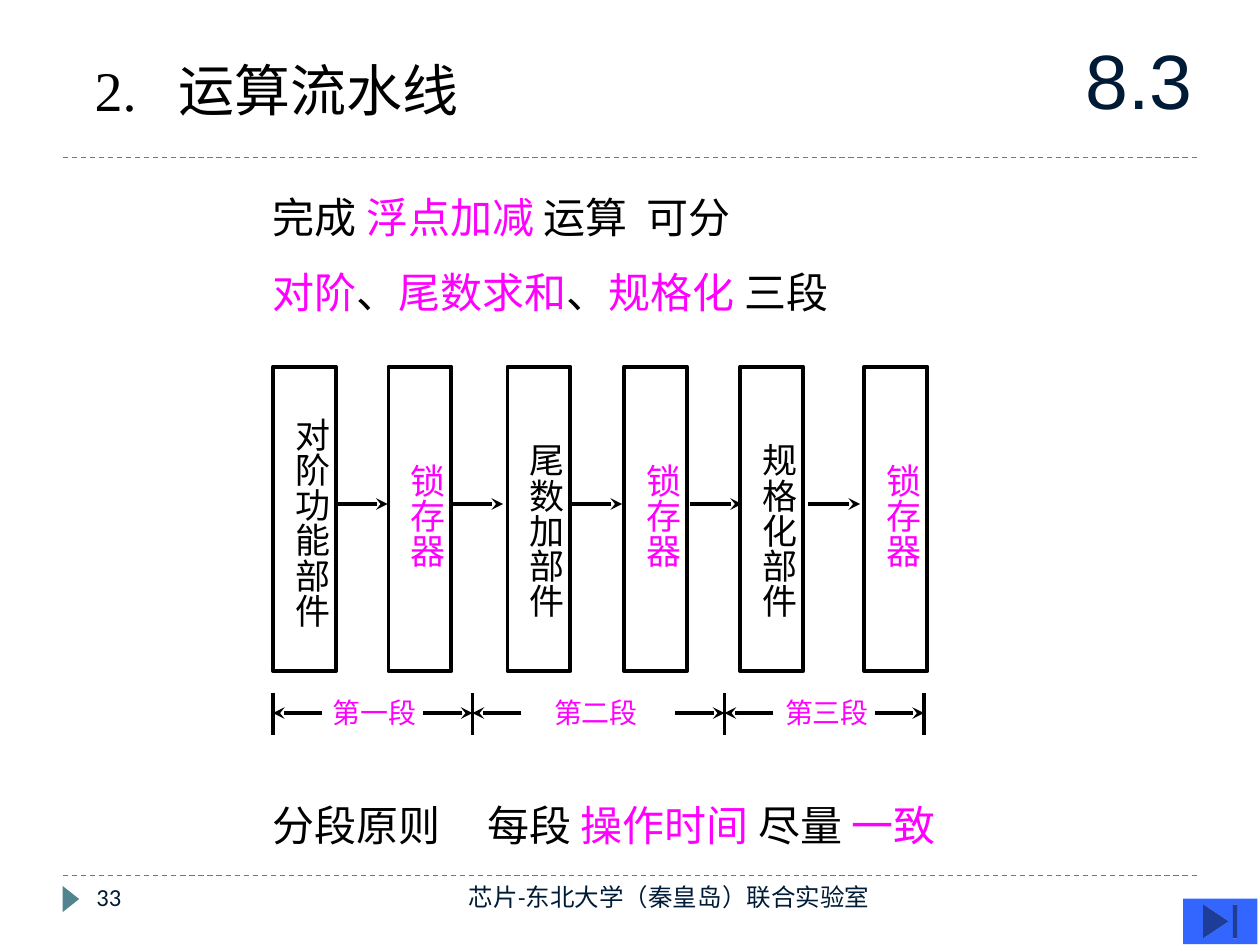
"""Build the slide about a three-stage floating-point arithmetic pipeline."""
from dataclasses import dataclass
from typing import Any

from lxml import etree
from pptx import Presentation
from pptx import util as u
from pptx.dml.color import RGBColor
from pptx.enum import dml, shapes, text
from pptx.oxml.ns import qn


@dataclass(frozen=True)
class Theme:
    black: str = "000000"
    accent: str = "FF00FF"
    navy: str = "001B36"
    teal: str = "51848E"
    button: str = "3366FF"
    serif: str = "Times New Roman"
    sans: str = "Arial"
    footer_font: str = "Calibri"
    title: float = 32
    body: float = 24
    block: float = 20
    label: float = 16
    section: float = 44
    footer: float = 14
    thin: float = 0.75
    thick: float = 2.25


@dataclass(frozen=True)
class Block:
    name: str
    left: float
    text_top: float
    color: str


@dataclass(frozen=True)
class Stage:
    label: str
    label_left: float
    start: float
    end: float
    unit: Block
    latch: Block
    arrow_left: float


THEME = Theme()
BLOCK_TOP, BLOCK_WIDTH, BLOCK_HEIGHT = 209.5, 36, 174
FLOW_Y, FLOW_LENGTH = 288, 29.5
TICK_TOP, TICK_BOTTOM, SPAN_Y, SPAN_LENGTH = 396, 420, 407.5, 28
LATCH_TOP = 257.8


def latch(left: float) -> Block:
    """Return a latch block at the given left edge."""
    return Block("锁存器", left, LATCH_TOP, THEME.accent)


STAGES = (
    Stage("第一段", 183, 156, 270, Block("对阶功能部件", 156, 231.8, THEME.black), latch(222), 192),
    Stage("第二段", 309.5, 270, 414, Block("尾数加部件", 290, 246.2, THEME.black), latch(356.5), 326),
    Stage("第三段", 441.5, 414, 528, Block("规格化部件", 423, 246.2, THEME.black), latch(494), 462),
)
BETWEEN_STAGES = (258, 394.5)

Run = tuple[str, str]


def add_text(container: Any, paragraphs: list[list[Run]], left: float, top: float,
             width: float, height: float, *, size: float, font: str = THEME.serif,
             side: float = 0, middle: bool = True, wrap: bool = True,
             vertical: bool = False, spacing: float | None = None,
             tab: float | None = None, align: Any = text.PP_ALIGN.LEFT) -> None:
    """Add a text box made of paragraphs of coloured runs."""
    box = container.add_textbox(u.Pt(left), u.Pt(top), u.Pt(width), u.Pt(height))
    frame = box.text_frame
    frame.word_wrap = wrap
    frame.margin_left = frame.margin_right = u.Pt(side)
    frame.margin_top = frame.margin_bottom = u.Pt(3.6)
    frame.vertical_anchor = text.MSO_ANCHOR.MIDDLE if middle else text.MSO_ANCHOR.TOP
    if not wrap:
        frame.auto_size = text.MSO_AUTO_SIZE.SHAPE_TO_FIT_TEXT
    if vertical:
        box.element.txBody.bodyPr.set("vert", "eaVert")
    for index, runs in enumerate(paragraphs):
        paragraph = frame.add_paragraph() if index else frame.paragraphs[0]
        paragraph.alignment = align
        if spacing:
            paragraph.line_spacing = spacing
        if tab:
            stops = etree.SubElement(paragraph._p.get_or_add_pPr(), qn("a:tabLst"))
            etree.SubElement(stops, qn("a:tab"), pos=str(u.Pt(tab)), algn="l")
        for words, color in runs:
            run = paragraph.add_run()
            run.text = words
            run.font.name = font
            run.font.size = u.Pt(size)
            run.font.color.rgb = RGBColor.from_string(color)


def add_line(container: Any, start: tuple[float, float], end: tuple[float, float], *,
             color: str = THEME.black, weight: float = THEME.thick,
             dashed: bool = False, arrow: bool = False) -> None:
    """Add a straight line, optionally dashed or with a stealth arrowhead."""
    line = container.add_connector(shapes.MSO_CONNECTOR.STRAIGHT,
                                   *(u.Pt(value) for value in start + end))
    line.line.color.rgb = RGBColor.from_string(color)
    line.line.width = u.Pt(weight)
    if dashed:
        line.line.dash_style = dml.MSO_LINE.DASH
    if arrow:
        etree.SubElement(line.line._get_or_add_ln(), qn("a:tailEnd"), type="stealth")
    etree.SubElement(line.element.spPr, qn("a:effectLst"))


def add_preset(container: Any, kind: Any, left: float, top: float, width: float,
               height: float, *, fill: str | None = None, rotation: float = 0) -> None:
    """Add a filled preset shape, or an outlined one when no fill is given."""
    shape = container.add_shape(kind, u.Pt(left), u.Pt(top), u.Pt(width), u.Pt(height))
    shape.shadow.inherit = False
    shape.rotation = rotation
    if fill:
        shape.fill.solid()
        shape.fill.fore_color.rgb = RGBColor.from_string(fill)
        shape.line.fill.background()
    else:
        shape.fill.background()
        shape.line.color.rgb = RGBColor.from_string(THEME.black)
        shape.line.width = u.Pt(THEME.thick)


def add_flow(container: Any, left: float) -> None:
    """Add an arrow leading from one block to the next."""
    add_line(container, (left, FLOW_Y), (left + FLOW_LENGTH, FLOW_Y), arrow=True)


def add_block(container: Any, block: Block) -> None:
    """Add an outlined block with its vertical name."""
    add_text(container, [[(block.name, block.color)]], block.left - 0.5, block.text_top, 38,
             20 * len(block.name) + 8, size=THEME.block, side=7.2, middle=False,
             wrap=False, vertical=True)
    add_preset(container, shapes.MSO_SHAPE.RECTANGLE, block.left, BLOCK_TOP,
               BLOCK_WIDTH, BLOCK_HEIGHT)


def add_stage(slide: Any, stage: Stage, first: bool) -> None:
    """Add one pipeline stage as a group with its span marker."""
    group = slide.shapes.add_group_shape().shapes
    add_block(group, stage.unit)
    add_block(group, stage.latch)
    add_flow(group, stage.arrow_left)
    for tick in (stage.start, stage.end) if first else (stage.end,):
        add_line(group, (tick, TICK_TOP), (tick, TICK_BOTTOM))
    for edge, inward in ((stage.start, SPAN_LENGTH), (stage.end, -SPAN_LENGTH)):
        add_line(group, (edge + inward, SPAN_Y), (edge, SPAN_Y), arrow=True)
    add_text(group, [[(stage.label, THEME.accent)]], stage.label_left, 394, 62.5, 26.5,
             size=THEME.label, side=7.2, middle=False, wrap=False)


def main() -> None:
    """Create the presentation and save it."""
    presentation = Presentation()
    presentation.slide_width, presentation.slide_height = u.Pt(720), u.Pt(540)
    slide = presentation.slides.add_slide(presentation.slide_layouts[6])
    black, accent, navy = THEME.black, THEME.accent, THEME.navy

    for y in (500.5, 90):
        add_line(slide.shapes, (36, y), (684, y), color=THEME.teal,
                 weight=THEME.thin, dashed=True)
    add_preset(slide.shapes, shapes.MSO_SHAPE.ISOSCELES_TRIANGLE, 33, 509, 15, 9.5,
               fill=THEME.teal, rotation=90)

    add_text(slide.shapes, [[("2.\t运算流水线", black)]], 54, 30, 264, 42,
             size=THEME.title, tab=48)
    add_text(slide.shapes, [
        [("完成 ", black), ("浮点加减 ", accent), ("运算\t可分", black)],
        [("对阶", accent), ("、", black), ("尾数求和", accent), ("、", black),
         ("规格化 ", accent), ("三段", black)],
    ], 156, 90, 510, 96, size=THEME.body, spacing=1.5, tab=213.5)
    add_text(slide.shapes, [[("分段原则\t每段 ", black), ("操作时间 ", accent),
                             ("尽量 ", black), ("一致", accent)]],
             156, 450, 450, 42, size=THEME.body, tab=122.5)

    for left in BETWEEN_STAGES:
        add_flow(slide.shapes, left)
    for index, stage in enumerate(STAGES):
        add_stage(slide, stage, first=index == 0)

    add_text(slide.shapes, [[("8.3", navy)]], 606, 12, 90, 66, size=THEME.section,
             font=THEME.sans, side=7.2, align=text.PP_ALIGN.CENTER)
    add_preset(slide.shapes, shapes.MSO_SHAPE.ACTION_BUTTON_END, 676, 513.5, 42.5, 26,
               fill=THEME.button)
    add_text(slide.shapes, [[("33", navy)]], 48, 500.5, 156, 29, size=THEME.footer,
             font=THEME.footer_font, side=7.2, middle=False)
    add_text(slide.shapes, [[("芯片-东北大学（秦皇岛）联合实验室", navy)]], 228, 500.5, 276, 29,
             size=THEME.footer, font=THEME.footer_font, side=7.2, middle=False,
             align=text.PP_ALIGN.RIGHT)
    presentation.save("out.pptx")


if __name__ == "__main__":
    main()
